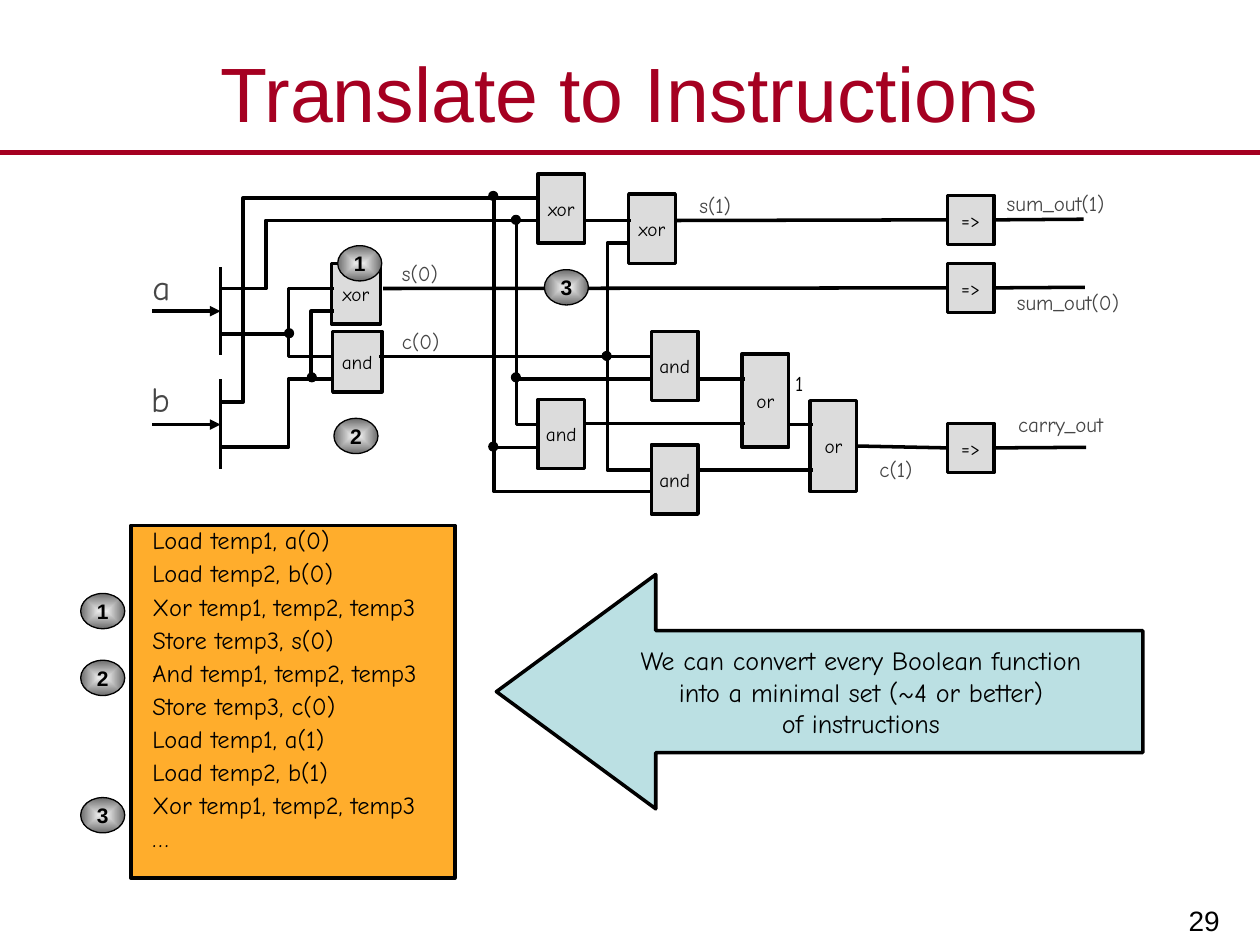
from lxml import etree
from pptx import Presentation
from pptx import util as u
from pptx.dml.color import RGBColor
from pptx.enum import shapes, text
from pptx.oxml.ns import qn

BLACK = RGBColor(0x00, 0x00, 0x00)
RED = RGBColor(0xA5, 0x00, 0x21)
LABEL_GRAY = RGBColor(0x46, 0x46, 0x46)
GATE_GRAY = RGBColor(0xDC, 0xDC, 0xDC)
ORANGE = RGBColor(0xFF, 0xAD, 0x2C)
PALE_BLUE = RGBColor(0xBB, 0xE0, 0xE3)
BADGE_LIGHT = RGBColor(0xEA, 0xEA, 0xEA)
BADGE_DARK = RGBColor(0x6C, 0x6C, 0x6C)

LEFT, CENTER, RIGHT = text.PP_ALIGN.LEFT, text.PP_ALIGN.CENTER, text.PP_ALIGN.RIGHT
TOP, MIDDLE, BOTTOM = text.MSO_ANCHOR.TOP, text.MSO_ANCHOR.MIDDLE, text.MSO_ANCHOR.BOTTOM
KIND = shapes.MSO_SHAPE


def write(box, words, size, color=BLACK, align=CENTER, anchor=MIDDLE, name="Comic Neue",
          bold=False, wrap=True, margins=(0, 0, 0, 0), after=0.15):
    frame = box.text_frame
    frame.text = words
    frame_format = {"word_wrap": wrap, "vertical_anchor": anchor}
    for side, margin in zip(("left", "top", "right", "bottom"), margins):
        frame_format["margin_" + side] = u.Inches(margin)
    for key, value in frame_format.items():
        setattr(frame, key, value)
    for para in frame.paragraphs:
        para.alignment = align
        para.space_after = u.Pt(after * size)
        for span in para.runs:
            for key, value in {"name": name, "size": u.Pt(size), "bold": bold}.items():
                setattr(span.font, key, value)
            span.font.color.rgb = color


def add_block(parent, kind, place, fill, width=2):
    block = parent.add_shape(kind, *map(u.Inches, place))
    block.shadow.inherit = False
    block.fill.solid()
    block.fill.fore_color.rgb = fill
    block.line.color.rgb = BLACK
    block.line.width = u.Pt(width)
    return block


deck = Presentation()
deck.slide_width, deck.slide_height = u.Inches(10), u.Inches(7.5)
page = deck.slides.add_slide(deck.slide_layouts[5])

title = page.shapes.title
title_place = {"left": 0, "top": 0.3, "width": 10, "height": 0.86}
for key, value in title_place.items():
    setattr(title, key, u.Inches(value))
write(title, "Translate to Instructions", 44, RED, name="Arial", after=0,
      margins=(0.1, 0.05, 0.1, 0.05))

number = page.shapes.add_textbox(*map(u.Inches, (7.8, 6.93, 1.99, 0.57)))
write(number, "29", 16, align=RIGHT, anchor=BOTTOM, name="Arial", after=0,
      margins=(0.11, 0.06, 0.11, 0.06))

circuit = page.shapes.add_group_shape().shapes

gates = {}
gate_table = [
    ("xor_s0", "xor", 2.63, 2.09, 0.39, 0.48),
    ("and_c0", "and", 2.64, 2.63, 0.39, 0.48),
    ("xor_ab", "xor", 4.27, 1.38, 0.37, 0.55),
    ("xor_s1", "xor", 4.99, 1.54, 0.37, 0.55),
    ("and_ab", "and", 4.27, 3.17, 0.37, 0.55),
    ("and_a", "and", 5.17, 2.63, 0.37, 0.55),
    ("and_b", "and", 5.17, 3.53, 0.37, 0.55),
    ("or_first", "or", 5.89, 2.81, 0.37, 0.74),
    ("or_last", "or", 6.43, 3.18, 0.37, 0.72),
    ("out_1", "=>", 7.52, 1.55, 0.37, 0.39),
    ("out_0", "=>", 7.52, 2.09, 0.37, 0.39),
    ("out_carry", "=>", 7.52, 3.36, 0.37, 0.39),
]
for key, words, *place in gate_table:
    gates[key] = add_block(circuit, KIND.RECTANGLE, place, GATE_GRAY)
    write(gates[key], words, 11)

bent_wires = [
    [(1.75, 3.55), (2.29, 3.55), (2.29, 3.01), (2.65, 3.01)],
    [(1.75, 2.65), (2.29, 2.65), (2.29, 2.83), (2.65, 2.83)],
    [(2.29, 2.63), (2.29, 2.29), (2.65, 2.29)],
    [(2.47, 3.01), (2.47, 2.47), (2.65, 2.47)],
    [(1.75, 2.29), (2.11, 2.29), (2.11, 1.75), (4.28, 1.75)],
    [(1.75, 3.19), (1.93, 3.19), (1.93, 1.57), (4.28, 1.57)],
    [(3.91, 2.83), (4.82, 2.83), (4.82, 1.93), (5, 1.93)],
    [(3.92, 1.57), (3.92, 3.55), (4.28, 3.55)],
    [(4.1, 1.75), (4.1, 3.37), (4.28, 3.37)],
    [(3.92, 3.55), (3.92, 3.9), (5.18, 3.9)],
    [(4.82, 2.83), (4.82, 3.73), (5.18, 3.73)],
]
for points in bent_wires:
    start, *rest = [tuple(map(u.Inches, point)) for point in points]
    builder = circuit.build_freeform(*start)
    builder.add_line_segments(rest, close=False)
    wire = builder.convert_to_shape()
    wire.shadow.inherit = False
    wire.fill.background()
    wire.line.color.rgb = BLACK
    wire.line.width = u.Pt(2)

straight_wires = [
    (1.21, 2.47, 1.75, 2.47, {"arrow": True}),
    (1.75, 2.12, 1.75, 2.82, {}),
    (1.21, 3.37, 1.75, 3.37, {"arrow": True}),
    (1.75, 3.01, 1.75, 3.72, {}),
    (3.04, 2.29, 7.52, 2.29, {"end": "out_0"}),
    (3.01, 2.83, 3.92, 2.83, {}),
    (4.65, 1.75, 5.01, 1.75, {}),
    (5.37, 1.75, 7.52, 1.75, {"end": "out_1"}),
    (4.82, 2.83, 5.18, 2.83, {}),
    (4.1, 3.01, 5.18, 3.01, {}),
    (5.55, 3.01, 5.91, 3.01, {}),
    (4.64, 3.36, 5.91, 3.36, {}),
    (5.54, 3.73, 6.45, 3.73, {}),
    (6.27, 3.37, 6.45, 3.37, {}),
    (6.81, 3.55, 7.53, 3.55, {"begin": "or_last", "end": "out_carry"}),
    (7.9, 1.74, 8.6, 1.74, {"begin": "out_1"}),
    (7.9, 2.28, 8.61, 2.28, {"begin": "out_0"}),
    (7.9, 3.55, 8.62, 3.55, {"begin": "out_carry"}),
    (0, 1.21, 10, 1.21, {"parent": page.shapes, "color": RED, "width": 3}),
]
for *ends, options in straight_wires:
    parent = options.get("parent", circuit)
    wire = parent.add_connector(shapes.MSO_CONNECTOR.STRAIGHT, *map(u.Inches, ends))
    wire.line.color.rgb = options.get("color", BLACK)
    wire.line.width = u.Pt(options.get("width", 2))
    if "begin" in options:
        wire.begin_connect(gates[options["begin"]], 3)
    if "end" in options:
        wire.end_connect(gates[options["end"]], 1)
    if "arrow" in options:
        etree.SubElement(wire.line._get_or_add_ln(), qn("a:tailEnd"), type="triangle")
    etree.SubElement(wire._element.spPr, qn("a:effectLst"))

for x, y in [(3.88, 1.52), (3.88, 3.51), (4.78, 2.79), (4.06, 1.71),
             (4.06, 2.96), (2.44, 2.96), (2.26, 2.61)]:
    add_block(circuit, KIND.OVAL, (x, y, 0.07, 0.07), BLACK, 0.75)

labels = [
    ("a", 1.21, 2.11, 0.16, 0.33, 20, LABEL_GRAY),
    ("b", 1.2, 3, 0.18, 0.33, 20, LABEL_GRAY),
    ("s(0)", 3.19, 2.07, 0.45, 0.2, 12, LABEL_GRAY),
    ("c(0)", 3.19, 2.61, 0.45, 0.2, 12, LABEL_GRAY),
    ("s(1)", 5.55, 1.53, 0.45, 0.2, 12, LABEL_GRAY),
    ("c(1)", 6.98, 3.62, 0.45, 0.2, 12, LABEL_GRAY),
    ("sum_out(1)", 7.99, 1.51, 0.9, 0.2, 12, LABEL_GRAY),
    ("sum_out(0)", 8.07, 2.3, 0.93, 0.2, 12, LABEL_GRAY),
    ("carry_out", 8.08, 3.27, 0.93, 0.2, 12, LABEL_GRAY),
    ("1", 6.31, 2.94, 0.18, 0.2, 12, BLACK),
]
for words, *place, size, color in labels:
    label = circuit.add_textbox(*map(u.Inches, place))
    write(label, words, size, color, LEFT, TOP)

instructions = [
    "Load temp1, a(0)", "Load temp2, b(0)", "Xor temp1, temp2, temp3", "Store temp3, s(0)",
    "And temp1, temp2, temp3", "Store temp3, c(0)", "Load temp1, a(1)", "Load temp2, b(1)",
    "Xor temp1, temp2, temp3", "…",
]
listing = add_block(page.shapes, KIND.RECTANGLE, (1.04, 4.17, 2.57, 2.8), ORANGE)
write(listing, "\n".join(instructions), 14, align=LEFT, anchor=TOP, margins=(0.17, 0, 0, 0))

arrow = add_block(page.shapes, KIND.LEFT_ARROW, (3.94, 4.56, 5.13, 1.86), PALE_BLUE)
arrow.adjustments[0], arrow.adjustments[1] = 0.52, 0.68
write(arrow, "We can convert every Boolean function\vinto a minimal set (~4 or better)\v"
      "of instructions", 15)

for words, x, y in [("1", 0.64, 4.71), ("2", 0.64, 5.24), ("3", 0.64, 6.33),
                    ("1", 2.68, 1.95), ("2", 2.65, 3.32), ("3", 4.32, 2.14)]:
    badge = add_block(page.shapes, KIND.OVAL, (x, y, 0.35, 0.28), BADGE_LIGHT, 0.75)
    badge.fill.gradient()
    for stop, color in zip(badge.fill.gradient_stops, (BADGE_LIGHT, BADGE_DARK)):
        stop.color.rgb = color
    gradient = badge._element.spPr.find(qn("a:gradFill"))
    gradient.remove(gradient.find(qn("a:lin")))
    shading = etree.SubElement(gradient, qn("a:path"), path="shape")
    etree.SubElement(shading, qn("a:fillToRect"), dict.fromkeys("ltrb", "50000"))
    write(badge, words, 12, name="Arial", bold=True, wrap=False, after=0,
          margins=(0.09, 0.04, 0.09, 0.04))

deck.save("out.pptx")
